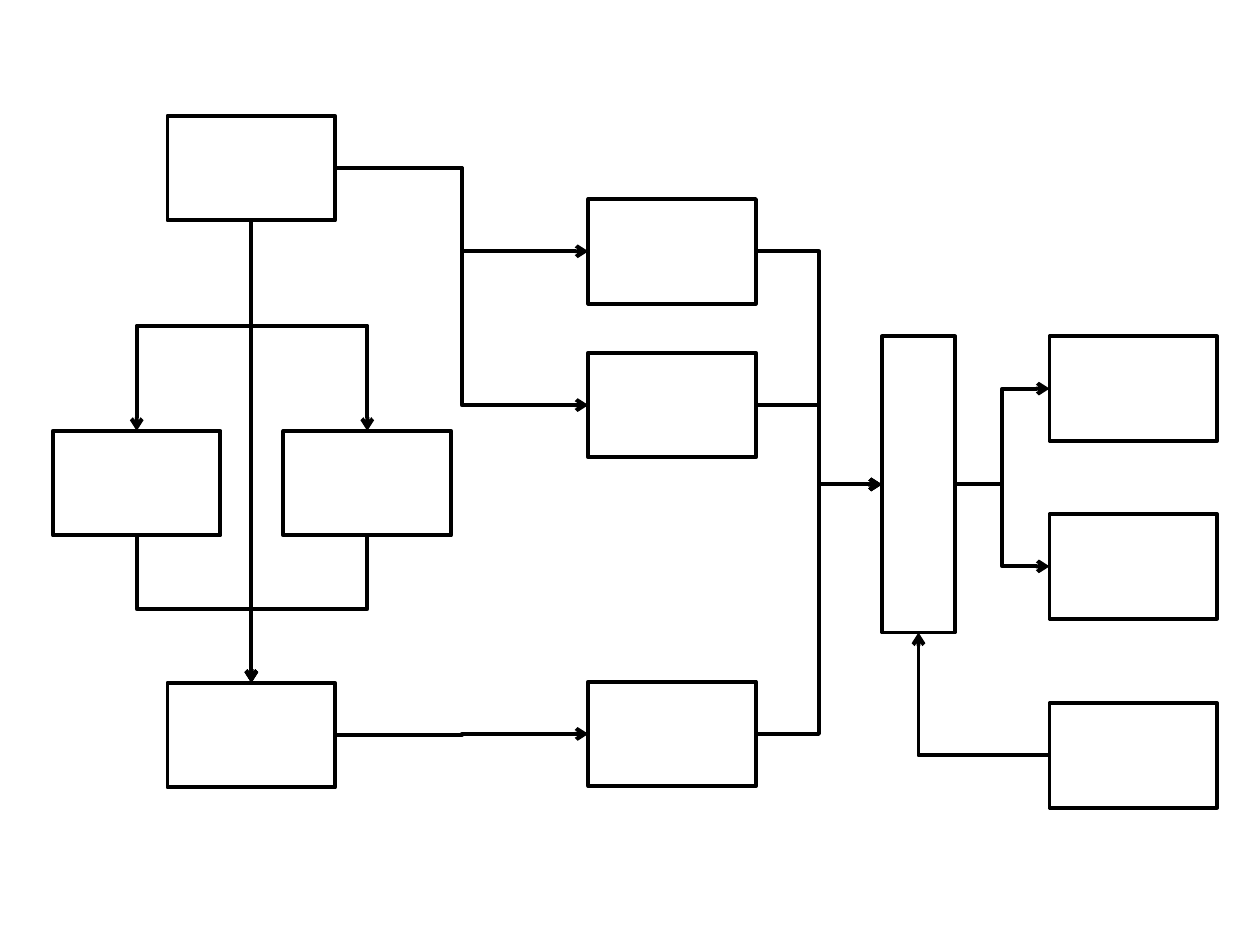
import pptx
import pptx.util
import pptx.dml.color
import pptx.enum.shapes
import pptx.oxml.ns
import lxml.etree

Inches = pptx.util.Inches
BOX_WIDTH, BOX_HEIGHT = Inches(1.33), Inches(0.83)
INK = "000000"


def set_line(line, color):
    line.color.rgb = pptx.dml.color.RGBColor.from_string(color)
    line.width = pptx.util.Pt(2.25)


def add_box(page, left, top, width=BOX_WIDTH, height=BOX_HEIGHT):
    box = page.shapes.add_shape(
        pptx.enum.shapes.MSO_SHAPE.RECTANGLE, left, top, width, height)
    box.shadow.inherit = False
    box.fill.background()
    set_line(box.line, INK)
    return box


def side_point(box, side):
    middle_x = box.left + box.width // 2
    middle_y = box.top + box.height // 2
    return {
        "left": (box.left, middle_y),
        "right": (box.left + box.width, middle_y),
        "top": (middle_x, box.top),
        "bottom": (middle_x, box.top + box.height),
    }[side]


def add_arrow(page, source, source_side, target, target_side, turn=0, preset="bentConnector3"):
    start_x, start_y = side_point(source, source_side)
    end_x, end_y = side_point(target, target_side)
    center_x, center_y = (start_x + end_x) // 2, (start_y + end_y) // 2
    run, rise = end_x - start_x, end_y - start_y
    run, rise = {0: (run, rise), 90: (rise, -run), 180: (-run, -rise)}[turn]
    arrow = page.shapes.add_connector(
        pptx.enum.shapes.MSO_CONNECTOR.ELBOW,
        center_x - run // 2, center_y - rise // 2,
        center_x + run // 2, center_y + rise // 2)
    set_line(arrow.line, INK)
    qn = pptx.oxml.ns.qn
    properties = arrow._element.spPr
    properties.find(qn("a:xfrm")).set("rot", str(turn * 60000))
    properties.find(qn("a:prstGeom")).set("prst", preset)
    lxml.etree.SubElement(properties.find(qn("a:ln")), qn("a:tailEnd"), type="arrow")
    lxml.etree.SubElement(properties, qn("a:effectLst"))


def add_column(page, left, top, offsets):
    return [add_box(page, left, top + Inches(offset)) for offset in offsets]


def add_branching(page, left, top):
    first, last = add_column(page, left + Inches(0.91), top, (0, 4.5))
    branches = [add_box(page, left + Inches(offset), top + Inches(2.5))
                for offset in (0, 1.83)]
    add_arrow(page, first, "bottom", last, "top", 90)
    for branch in branches:
        add_arrow(page, first, "bottom", branch, "top", 90)
        add_arrow(page, branch, "bottom", last, "top", 90)
    return first, last


def add_merging(page, left, top):
    steps = add_column(page, left, top, (0, 1.22, 3.83))
    hub = add_box(page, left + Inches(2.33), top + Inches(1.09),
                  Inches(0.58), Inches(2.35))
    for step in steps:
        add_arrow(page, step, "right", hub, "left")
    return steps, hub


def add_results(page, left, top, hub):
    *results, feedback = add_column(page, left, top, (0, 1.41, 2.91))
    for result in results:
        add_arrow(page, hub, "right", result, "left")
    add_arrow(page, feedback, "left", hub, "bottom", 180, "bentConnector2")


def main():
    deck = pptx.Presentation()
    deck.slide_width, deck.slide_height = Inches(10), Inches(7.5)
    page = deck.slides.add_slide(deck.slide_layouts[6])
    first, last = add_branching(page, Inches(0.42), Inches(0.92))
    steps, hub = add_merging(page, Inches(4.67), Inches(1.58))
    for source, step in zip((first, first, last), steps):
        add_arrow(page, source, "right", step, "left")
    add_results(page, Inches(8.33), Inches(2.67), hub)
    deck.save("out.pptx")


if __name__ == "__main__":
    main()
